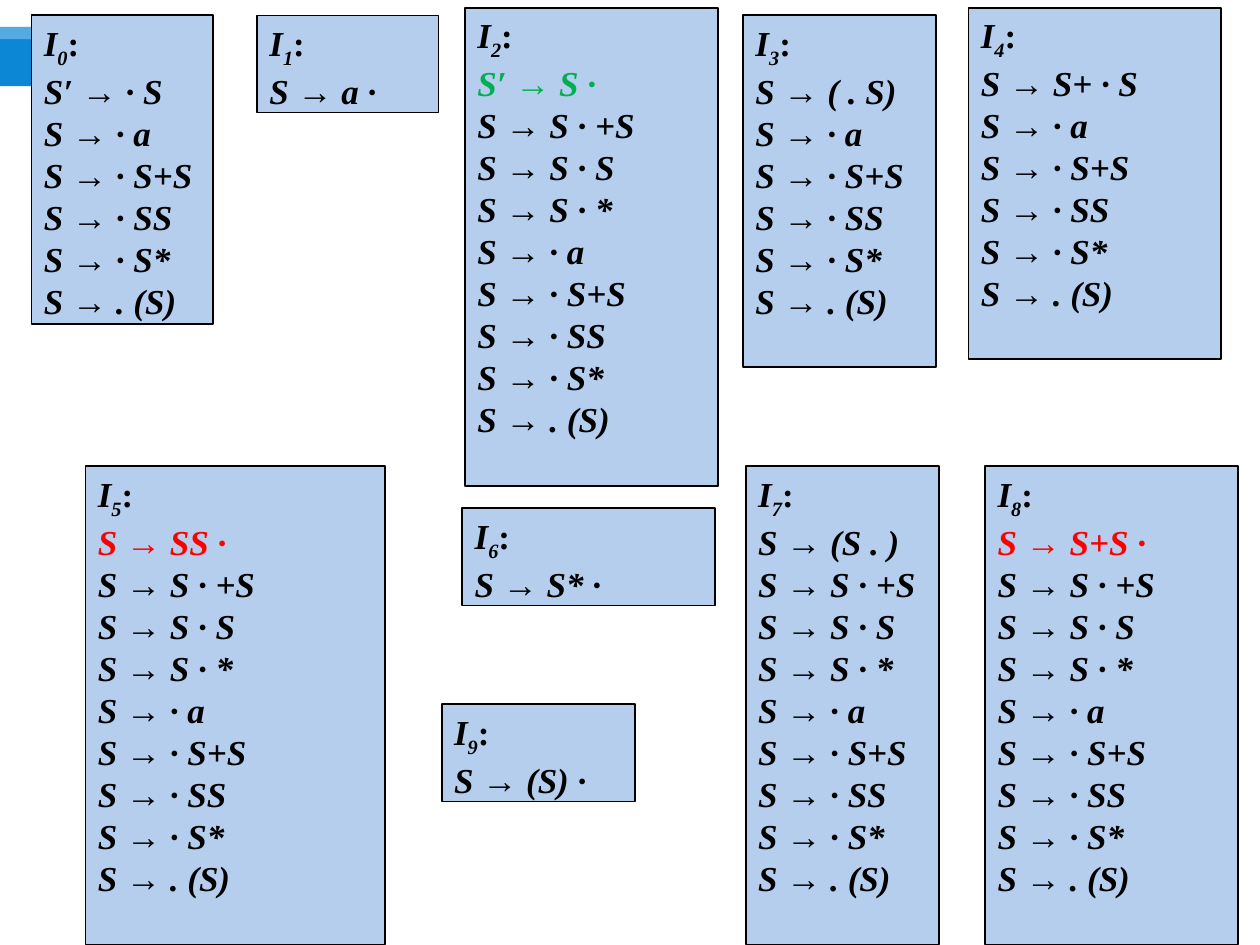
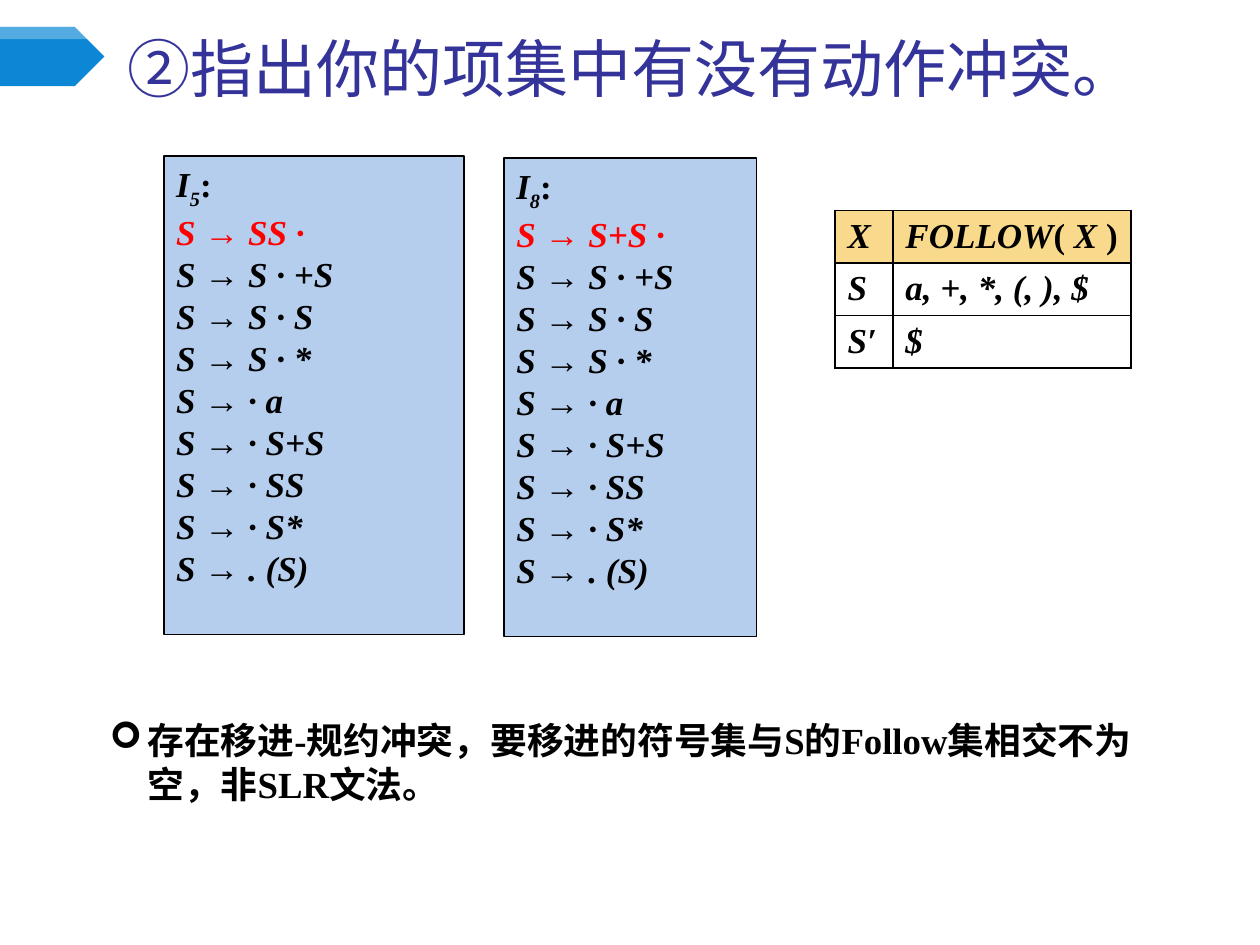
from lxml import etree
from pptx import Presentation, util as u
from pptx.dml.color import RGBColor
from pptx.enum import shapes as sh, text as tx
from pptx.oxml import ns

Pt = u.Pt
FONT = "Times New Roman"
BLACK = RGBColor(0, 0, 0)
WHITE = RGBColor(255, 255, 255)
RED = RGBColor(255, 0, 0)
GREEN = RGBColor(0, 0xB0, 0x50)
BLUE = RGBColor(0x0B, 0x87, 0xD6)
PALE = RGBColor(0xB5, 0xCE, 0xED)
NAVY = RGBColor(0x33, 0x33, 0x99)
GOLD = RGBColor(0xF9, 0xD9, 0x8C)

BODY = {"name": FONT, "size": Pt(20), "bold": True, "italic": True}
PLAIN = {**BODY, "italic": False}
HEAD = {"name": FONT, "size": Pt(36), "bold": False}
NOTE = {"name": FONT, "size": Pt(21), "bold": True}
LINE, PAD = 24.2, 7.2  # line height and total vertical inset of a set

# Items that the closure of S adds, and items reached after an S
START = ["S → · a", "S → · S+S", "S → · SS", "S → · S*", "S → . (S)"]
AFTER = ["S → S · +S", "S → S · S", "S → S · *"]

# Each set: kernel items and closure, colour of the first item, spare lines
SETS = [
    (["S′ → · S"] + START, BLACK, 0),
    (["S → a ·"], BLACK, 0),
    (["S′ → S ·"] + AFTER + START, GREEN, 1),
    (["S → ( . S)"] + START, BLACK, 1),
    (["S → S+ · S"] + START, BLACK, 1),
    (["S → SS ·"] + AFTER + START, RED, 1),
    (["S → S* ·"], BLACK, 0),
    (["S → (S . )"] + AFTER + START, BLACK, 1),
    (["S → S+S ·"] + AFTER + START, RED, 1),
    (["S → (S) ·"], BLACK, 0),
]
# Left, top and width of each set on the overview
SPOTS = [
    (18, 8.8, 103.7), (146.9, 8.8, 103.7), (265.7, 4.4, 144.7),
    (424.6, 8.8, 110.4), (553.4, 4.4, 144.5), (48.8, 266.4, 171.4),
    (264.2, 290.4, 144.4), (426.2, 266.4, 110.4), (563, 266.4, 144.4),
    (252.4, 402.4, 110.4),
]


def add_run(par, words, form, color=BLACK):
    run = par.add_run()
    run.text = words
    for key, val in form.items():
        setattr(run.font, key, val)
    run.font.color.rgb = color
    return run


def add_plate(slide, top, high, color, alpha=None):
    plate = slide.shapes.add_shape(
        sh.MSO_SHAPE.PENTAGON, 0, Pt(top), Pt(59.6), Pt(high))
    plate.shadow.inherit = False
    plate.fill.solid()
    plate.fill.fore_color.rgb = color
    plate.line.fill.background()
    if alpha:
        tint = plate.fill._xPr.find(".//" + ns.qn("a:srgbClr"))
        etree.SubElement(tint, ns.qn("a:alpha"), val=str(alpha * 1000))


def new_slide(prs):
    slide = prs.slides.add_slide(prs.slide_layouts[6])
    # Arrow band with its light strip
    add_plate(slide, 15.4, 33.8, BLUE)
    add_plate(slide, 15.4, 7, WHITE, 30)
    return slide


def add_set(slide, num, left, top, wide):
    items, tone, spare = SETS[num]
    high = PAD + LINE * (1 + len(items) + spare)
    box = slide.shapes.add_shape(
        sh.MSO_SHAPE.RECTANGLE, Pt(left), Pt(top), Pt(wide), Pt(high))
    box.shadow.inherit = False
    box.fill.solid()
    box.fill.fore_color.rgb = PALE
    box.line.color.rgb = BLACK
    box.line.width = Pt(1)
    frame = box.text_frame
    frame.word_wrap = True
    frame.vertical_anchor = tx.MSO_ANCHOR.TOP
    # Name of the set
    par = frame.paragraphs[0]
    par.alignment = tx.PP_ALIGN.LEFT
    add_run(par, "I", BODY)
    sub = add_run(par, str(num), BODY)
    sub.font._element.set("baseline", "-25000")
    add_run(par, ":", PLAIN)
    # Items
    for pos, item in enumerate(items):
        par = frame.add_paragraph()
        par.alignment = tx.PP_ALIGN.LEFT
        add_run(par, item, BODY, BLACK if pos else tone)


def add_text(slide, left, top, wide, high, words, form, color, anchor):
    box = slide.shapes.add_textbox(Pt(left), Pt(top), Pt(wide), Pt(high))
    frame = box.text_frame
    frame.word_wrap = True
    frame.vertical_anchor = anchor
    par = frame.paragraphs[0]
    add_run(par, words, form, color)
    return par


def add_note(slide, left, top, wide, high, words):
    par = add_text(slide, left, top, wide, high, words, NOTE, BLACK,
                   tx.MSO_ANCHOR.TOP)
    props = par._p.get_or_add_pPr()
    props.set("marL", str(Pt(53.3)))
    props.set("indent", str(Pt(-21.6)))
    etree.SubElement(props, ns.qn("a:buFont"), typeface="Wingdings")
    etree.SubElement(props, ns.qn("a:buChar"), char="➢")


def edge_cell(cell):
    props = cell._tc.get_or_add_tcPr()
    for pos, side in enumerate(("lnL", "lnR", "lnT", "lnB")):
        line = etree.Element(ns.qn("a:" + side), w=str(Pt(1)))
        fill = etree.SubElement(line, ns.qn("a:solidFill"))
        etree.SubElement(fill, ns.qn("a:srgbClr"), val=str(BLACK))
        props.insert(pos, line)


def add_follow(slide, left, top, cols, high):
    head = [("FOLLOW", BODY), ("( ", PLAIN), ("X", BODY), (" )", PLAIN)]
    rows = [
        ([("X", BODY)], head),
        ([("S", BODY)], [("a, +, *, (, ), $", BODY)]),
        ([("S′", BODY)], [("$", BODY)]),
    ]
    grid = slide.shapes.add_table(
        len(rows), len(cols), Pt(left), Pt(top), Pt(sum(cols)),
        Pt(high * len(rows))).table
    for col, wide in zip(grid.columns, cols):
        col.width = Pt(wide)
    for r, row in enumerate(rows):
        grid.rows[r].height = Pt(high)
        for c, runs in enumerate(row):
            cell = grid.cell(r, c)
            cell.vertical_anchor = tx.MSO_ANCHOR.MIDDLE
            cell.margin_top = cell.margin_bottom = Pt(3)
            if r:
                cell.fill.background()
            else:
                cell.fill.solid()
                cell.fill.fore_color.rgb = GOLD
            edge_cell(cell)
            for words, form in runs:
                add_run(cell.text_frame.paragraphs[0], words, form)


def sets_slide(prs):
    slide = new_slide(prs)
    for num, spot in enumerate(SPOTS):
        add_set(slide, num, *spot)


def clash_slide(prs):
    slide = new_slide(prs)
    add_text(slide, 65.5, 13, 639.4, 50.4, "②指出你的项集中有没有动作冲突。",
             HEAD, NAVY, tx.MSO_ANCHOR.BOTTOM)
    # Sets with a conflict
    add_set(slide, 5, 93.6, 89.2, 171.4)
    add_set(slide, 8, 288, 90.4, 144.4)
    add_follow(slide, 477.2, 120.2, (33, 136), 29.4)
    # Verdict
    add_note(slide, 23.8, 406.8, 644.4, 58.3,
             "存在移进-规约冲突，要移进的符号集与S的Follow集相交不为空，非SLR文法。")


def main():
    prs = Presentation()
    prs.slide_width, prs.slide_height = Pt(720), Pt(540)
    sets_slide(prs)
    clash_slide(prs)
    prs.save("out.pptx")


if __name__ == "__main__":
    main()
